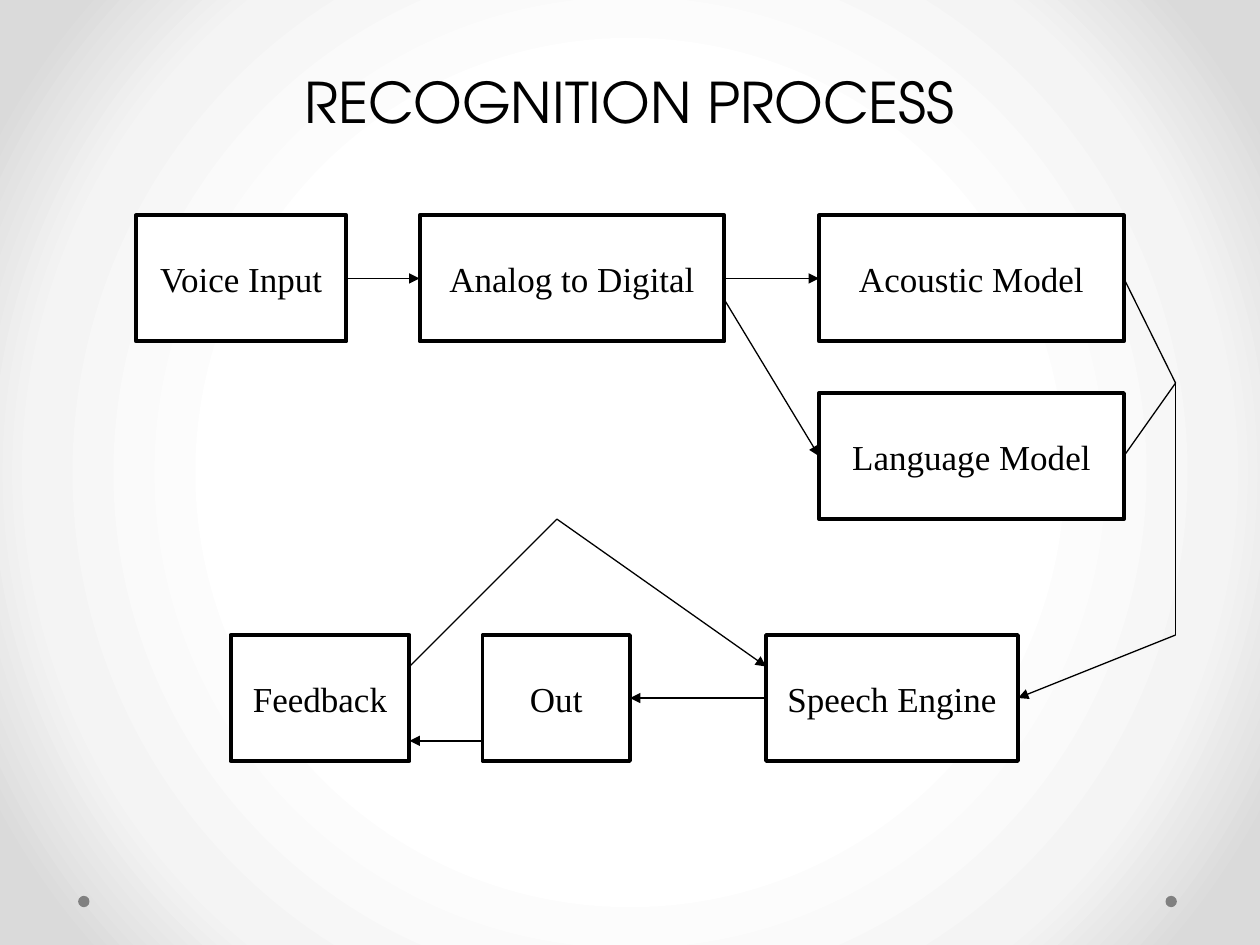
from dataclasses import dataclass

import lxml.etree
import pptx
import pptx.dml.color
import pptx.enum.shapes
import pptx.enum.text
import pptx.oxml.ns
import pptx.util

Inches = pptx.util.Inches
Point = tuple[float, float]

TITLE_FONT = "TeX Gyre Adventor"
BODY_FONT = "Times New Roman"
BLACK, WHITE, GRAY = "000000", "FFFFFF", "808080"
BACKGROUND_STOPS = ((50, "FFFFFF"), (76, "F4F4F4"), (92, "DADADA"))

BOX_HEIGHT = 1.0
TOP_ROW, MIDDLE_ROW, BOTTOM_ROW = 1.71, 3.12, 5.04


@dataclass(frozen=True)
class Box:
    label: str
    left: float
    top: float
    width: float

    def left_edge(self, down: float = 0.5) -> Point:
        return self.left, self.top + down

    def right_edge(self, down: float = 0.5) -> Point:
        return self.left + self.width, self.top + down


@dataclass(frozen=True)
class Route:
    """A chain of straight lines, with an optional arrowhead at its end."""
    points: tuple[Point, ...]
    arrow: bool = True


VOICE = Box("Voice Input", 1.08, TOP_ROW, 1.67)
DIGITAL = Box("Analog to Digital", 3.33, TOP_ROW, 2.42)
ACOUSTIC = Box("Acoustic Model", 6.5, TOP_ROW, 2.42)
LANGUAGE = Box("Language Model", 6.5, MIDDLE_ROW, 2.42)
OUT = Box("Out", 3.83, BOTTOM_ROW, 1.17)
ENGINE = Box("Speech Engine", 6.08, BOTTOM_ROW, 2.0)
FEEDBACK = Box("Feedback", 1.83, BOTTOM_ROW, 1.42)
BOXES = (VOICE, DIGITAL, ACOUSTIC, LANGUAGE, OUT, ENGINE, FEEDBACK)

MODELS_JOIN = (9.33, 3.04)
ENGINE_TURN = (9.33, BOTTOM_ROW)
FEEDBACK_PEAK = (4.42, 4.12)
ROUTES = (
    Route((VOICE.right_edge(), DIGITAL.left_edge())),
    Route((DIGITAL.right_edge(), ACOUSTIC.left_edge())),
    Route((DIGITAL.right_edge(0.67), LANGUAGE.left_edge())),
    Route((LANGUAGE.right_edge(), MODELS_JOIN), arrow=False),
    Route((ACOUSTIC.right_edge(), MODELS_JOIN, ENGINE_TURN, ENGINE.right_edge())),
    Route((ENGINE.left_edge(), OUT.right_edge())),
    Route((OUT.left_edge(0.84), FEEDBACK.right_edge(0.84))),
    Route((FEEDBACK.right_edge(0.25), FEEDBACK_PEAK, ENGINE.left_edge(0.25))),
)


def color(value: str) -> pptx.dml.color.RGBColor:
    return pptx.dml.color.RGBColor.from_string(value)


def add_child(parent, tag: str, **attributes: str):
    return lxml.etree.SubElement(parent, pptx.oxml.ns.qn(tag), attributes)


def paint_background(slide) -> None:
    """Fill the background with a gradient that runs outward from the centre."""
    slide.background.fill.gradient()
    gradient = slide.element.find(".//" + pptx.oxml.ns.qn("a:gradFill"))
    for child in list(gradient):
        gradient.remove(child)
    stops = add_child(gradient, "a:gsLst")
    for position, value in BACKGROUND_STOPS:
        stop = add_child(stops, "a:gs", pos=str(position * 1000))
        add_child(stop, "a:srgbClr", val=value)
    outward = add_child(gradient, "a:path", path="circle")
    add_child(outward, "a:fillToRect", l="50000", t="50000", r="50000", b="50000")


def write_centered(shape, text: str, font: str, size: float) -> None:
    frame = shape.text_frame
    frame.auto_size = pptx.enum.text.MSO_AUTO_SIZE.NONE
    frame.vertical_anchor = pptx.enum.text.MSO_ANCHOR.MIDDLE
    paragraph = frame.paragraphs[0]
    paragraph.alignment = pptx.enum.text.PP_ALIGN.CENTER
    run = paragraph.add_run()
    run.text = text
    run.font.name = font
    run.font.size = pptx.util.Pt(size)
    run.font.color.rgb = color(BLACK)


def add_title(slide, text: str) -> None:
    title = slide.shapes.title
    title.left, title.top = Inches(0.5), Inches(0.18)
    title.width, title.height = Inches(9), Inches(1.25)
    write_centered(title, text, TITLE_FONT, 32)


def add_filled_shape(slide, kind, left: float, top: float,
                     width: float, height: float, fill: str):
    shape = slide.shapes.add_shape(
        kind, Inches(left), Inches(top), Inches(width), Inches(height))
    shape.shadow.inherit = False
    shape.fill.solid()
    shape.fill.fore_color.rgb = color(fill)
    return shape


def add_dot(slide, left: float) -> None:
    dot = add_filled_shape(slide, pptx.enum.shapes.MSO_SHAPE.OVAL,
                           left, 7.11, 0.09, 0.09, GRAY)
    dot.line.fill.background()


def add_box(slide, box: Box) -> None:
    shape = add_filled_shape(slide, pptx.enum.shapes.MSO_SHAPE.RECTANGLE,
                             box.left, box.top, box.width, BOX_HEIGHT, WHITE)
    shape.line.color.rgb = color(BLACK)
    shape.line.width = pptx.util.Pt(2.25)
    write_centered(shape, box.label, BODY_FONT, 20)
    shape.text_frame.word_wrap = False


def add_line(slide, start: Point, end: Point, arrow: bool) -> None:
    connector = slide.shapes.add_connector(
        pptx.enum.shapes.MSO_CONNECTOR.STRAIGHT,
        *(Inches(value) for value in start + end))
    connector.line.color.rgb = color(BLACK)
    connector.line.width = pptx.util.Pt(0.75)
    properties = connector.element.spPr
    if arrow:
        outline = properties.find(pptx.oxml.ns.qn("a:ln"))
        add_child(outline, "a:tailEnd", type="triangle")
    add_child(properties, "a:effectLst")


def add_route(slide, route: Route) -> None:
    segments = list(zip(route.points, route.points[1:]))
    for number, (start, end) in enumerate(segments, start=1):
        add_line(slide, start, end, route.arrow and number == len(segments))


def main() -> None:
    presentation = pptx.Presentation()
    presentation.slide_width = Inches(10)
    presentation.slide_height = Inches(7.5)
    slide = presentation.slides.add_slide(
        presentation.slide_layouts.get_by_name("Title Only"))
    paint_background(slide)
    add_title(slide, "RECOGNITION PROCESS")
    for left in (0.62, 9.25):
        add_dot(slide, left)
    for box in BOXES:
        add_box(slide, box)
    for route in ROUTES:
        add_route(slide, route)
    presentation.save("out.pptx")


if __name__ == "__main__":
    main()
